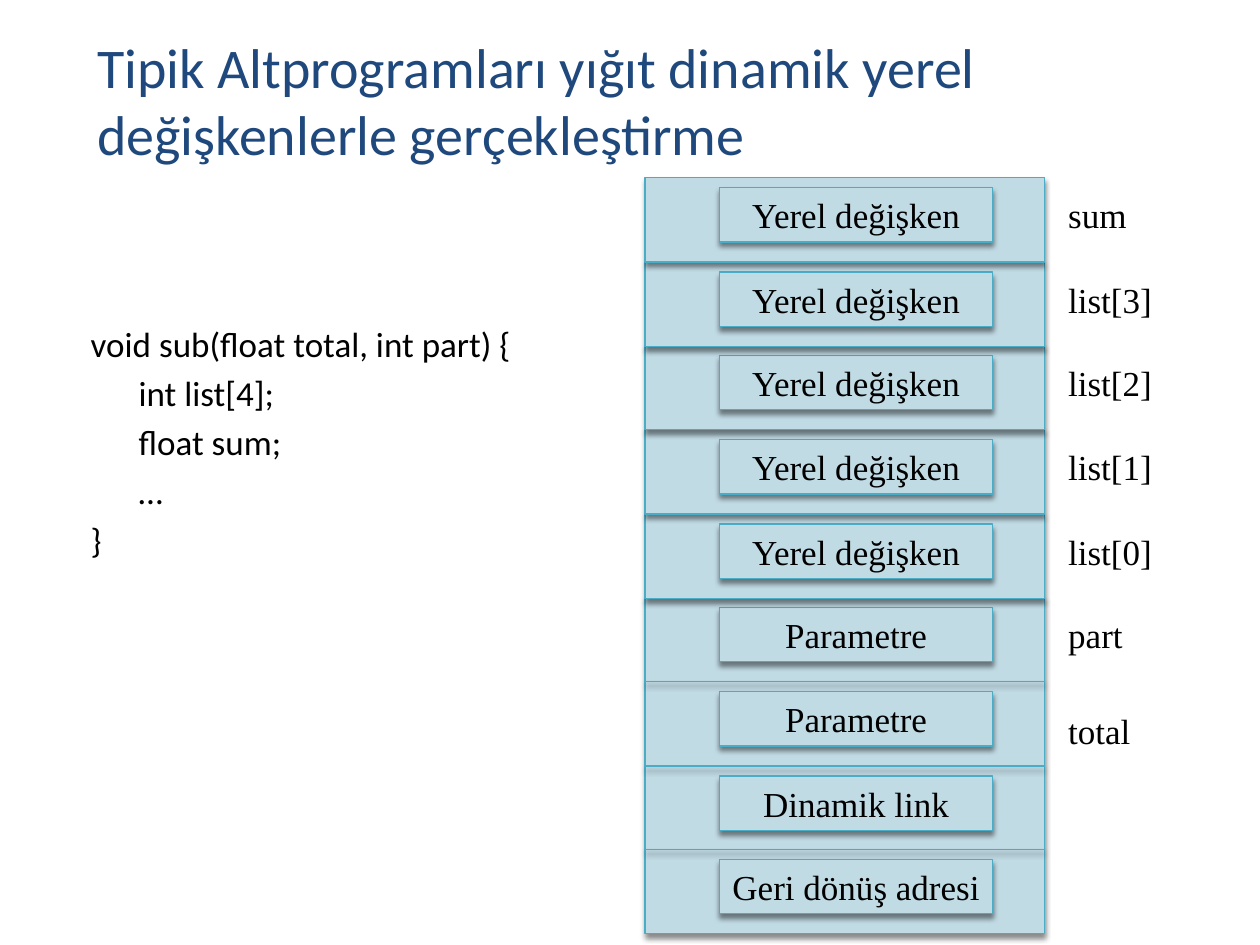
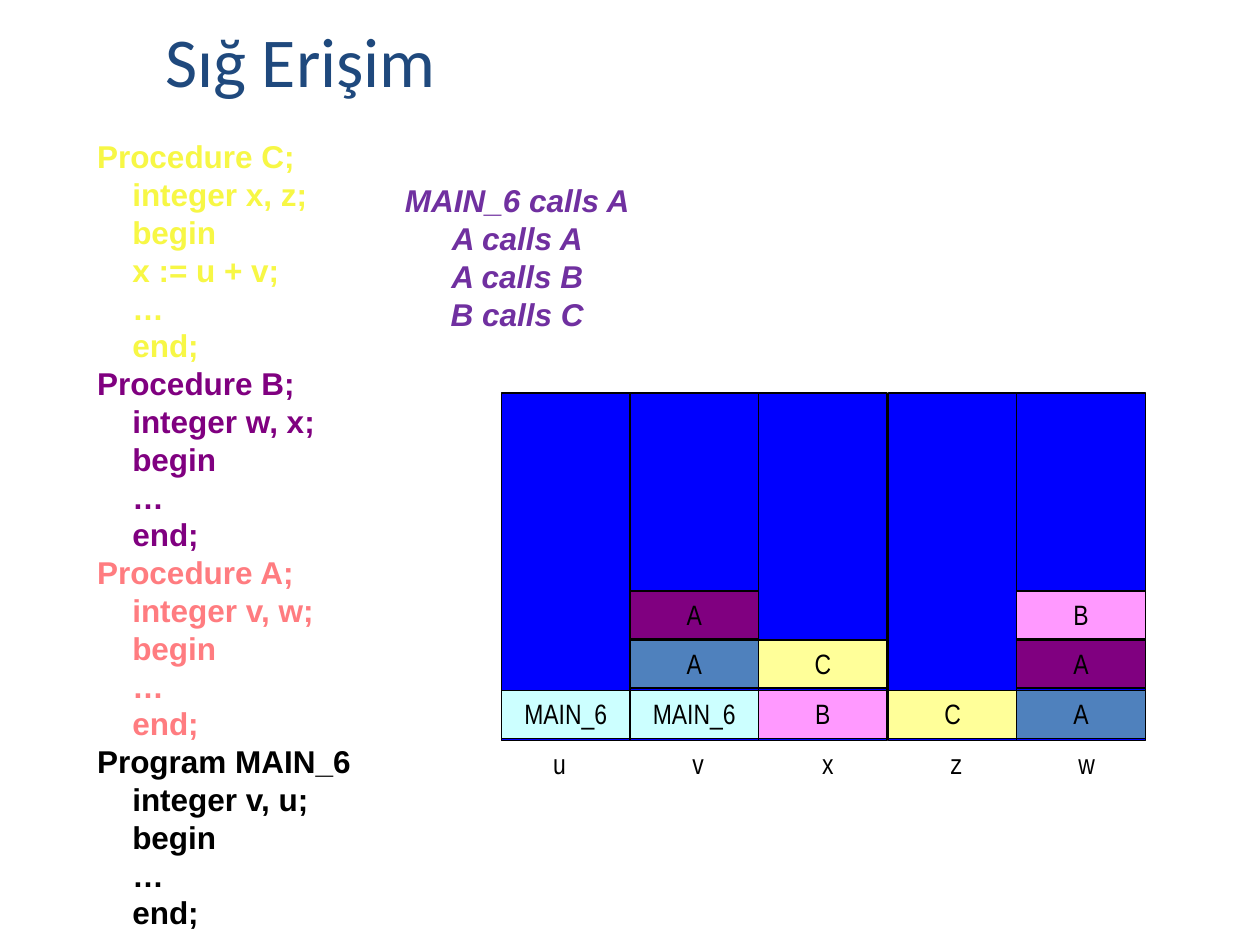
from lxml import etree
from pptx import Presentation
from pptx.dml.color import RGBColor
from pptx.enum import shapes, text
from pptx.oxml import ns
from pptx.util import Emu, Pt

EMU_PER_PX = 9144
BLACK = "000000"
TITLE_BLUE = "1F497D"
STACK_FILL, STACK_LINE = "C1DBE5", "4BACC6"
COLUMN_BLUE = "0000FF"
CYAN, STEEL, PURPLE, PINK, YELLOW = "CCFFFF", "4F81BD", "800080", "FF99FF", "FFFF99"
STACK_X, STACK_Y, STACK_W, ROW_H = 512, 141, 317, 200 / 3
FRAME_ROW = 5
COLUMN_X, COLUMN_W, CELL_STEP = 398, 102.25, 39.5

STACK_ROWS = [
    ("Yerel değişken", "sum", 0),
    ("Yerel değişken", "list[3]", 0),
    ("Yerel değişken", "list[2]", 0),
    ("Yerel değişken", "list[1]", 0),
    ("Yerel değişken", "list[0]", 0),
    ("Parametre", "part", 0),
    ("Parametre", "total", 9),
    ("Dinamik link", None, 0),
    ("Geri dönüş adresi", None, 0),
]
SUB_CODE = [
    ("void sub(float total, int part) {", 0),
    ("int list[4];", 38),
    ("float sum;", 38),
    ("…", 38),
    ("}", 0),
]
PROCEDURES = [
    ("F7F745", "Procedure C;", ["integer x, z;", "begin", "x := u + v;", "…", "end;"]),
    ("800080", "Procedure B;", ["integer w, x;", "begin", "…", "end;"]),
    ("FF7C80", "Procedure A;", ["integer v, w;", "begin", "…", "end;"]),
    (BLACK, "Program MAIN_6", ["integer v, u;", "begin", "…", "end;"]),
]
CALLS = ["MAIN_6 calls A", "A calls A", "A calls B", "B calls C"]
VARIABLES = [
    ("u", 31, [("MAIN_6", CYAN)]),
    ("v", 39, [("MAIN_6", CYAN), ("A", STEEL), ("A", PURPLE)]),
    ("x", 39, [("B", PINK), ("C", YELLOW)]),
    ("z", 39, [("C", YELLOW)]),
    ("w", 39, [("A", STEEL), ("A", PURPLE), ("B", PINK)]),
]


def px(n):
    return Emu(round(n) * EMU_PER_PX)


def rgb(value):
    return RGBColor.from_string(value)


def place(sp, x, y, w, h):
    sp.left, sp.top, sp.width, sp.height = px(x), px(y), px(w), px(h)


def write(tf, content, new=False, font="Calibri", size=20, color=BLACK, bold=False,
          italic=False, align="LEFT", indent=None, before=0, pitch=None):
    p = tf.add_paragraph() if new else tf.paragraphs[0]
    if indent is not None:
        pPr = p._p.get_or_add_pPr()
        pPr.set("marL", str(px(indent)))
        pPr.set("indent", "0")
        etree.SubElement(pPr, ns.qn("a:buNone"))
    p.alignment = getattr(text.PP_ALIGN, align)
    p.space_before = Pt(before if new else 0)
    if pitch:
        p.line_spacing = Pt(pitch)
    r = p.add_run()
    r.text = content
    f = r.font
    f.name, f.size, f.bold, f.italic = font, Pt(size), bold, italic
    f.color.rgb = rgb(color)


def add_title(s, content, x, y, w, h, size):
    sp = s.shapes.title
    place(sp, x, y, w, h)
    tf = sp.text_frame
    tf.auto_size = text.MSO_AUTO_SIZE.NONE
    tf.vertical_anchor = text.MSO_ANCHOR.MIDDLE
    write(tf, content, size=size, color=TITLE_BLUE)


def add_code(s, lines, x, y, w, h, **fmt):
    sp = s.placeholders[1]
    place(sp, x, y, w, h)
    tf = sp.text_frame
    tf.auto_size = text.MSO_AUTO_SIZE.NONE
    for i, (content, indent, color) in enumerate(lines):
        write(tf, content, new=i > 0, indent=indent, color=color, **fmt)


def add_label(s, lines, x, y, w, h, wrap=True, **fmt):
    tf = s.shapes.add_textbox(px(x), px(y), px(w), px(h)).text_frame
    tf.word_wrap = wrap
    for i, content in enumerate(lines):
        write(tf, content, new=i > 0, **fmt)


def add_box(s, x, y, w, h, fill, line=BLACK, width=0.75, label=None, **fmt):
    sp = s.shapes.add_shape(shapes.MSO_SHAPE.RECTANGLE, px(x), px(y), px(w), px(h))
    sp.shadow.inherit = False
    sp.fill.solid()
    sp.fill.fore_color.rgb = rgb(fill)
    sp.line.color.rgb = rgb(line)
    sp.line.width = Pt(width)
    if label:
        sp.text_frame.vertical_anchor = text.MSO_ANCHOR.TOP
        write(sp.text_frame, label, align="CENTER", **fmt)
    return sp


def add_shadow(sp):
    spPr = sp._element.spPr
    effects = spPr.find(ns.qn("a:effectLst"))
    if effects is None:
        effects = etree.SubElement(spPr, ns.qn("a:effectLst"))
    outer = etree.SubElement(effects, ns.qn("a:outerShdw"), blurRad="38100",
                             dist="30000", dir="5400000", rotWithShape="0")
    clr = etree.SubElement(outer, ns.qn("a:srgbClr"), val=BLACK)
    etree.SubElement(clr, ns.qn("a:alpha"), val="45000")


def add_stack_box(s, x, y, w, h, label=None):
    add_shadow(add_box(s, x, y, w, h, STACK_FILL, STACK_LINE, 0.79, label,
                       font="Times New Roman"))


def add_divider(s, y):
    cx = s.shapes.add_connector(shapes.MSO_CONNECTOR.STRAIGHT, px(STACK_X), px(y),
                                px(STACK_X + STACK_W), px(y))
    cx.line.color.rgb = rgb(STACK_LINE)
    cx.line.width = Pt(0.79)
    add_shadow(cx)


def build_stack(s):
    tops = [STACK_Y + i * ROW_H for i in range(len(STACK_ROWS))]
    framed = range(FRAME_ROW, len(STACK_ROWS))
    add_stack_box(s, STACK_X, tops[FRAME_ROW], STACK_W, len(framed) * ROW_H)
    for i in framed[1:]:
        add_divider(s, tops[i])
    for i in [*framed, *reversed(range(FRAME_ROW))]:
        kind, name, drop = STACK_ROWS[i]
        if i < FRAME_ROW:
            add_stack_box(s, STACK_X, tops[i], STACK_W, ROW_H)
        add_stack_box(s, 571, tops[i] + 8, 217, 43, kind)
        if name:
            add_label(s, [name], 838, tops[i] + 8 + drop, 100, 43,
                      font="Times New Roman")


def build_columns(s):
    for i, (name, shift, cells) in enumerate(VARIABLES):
        x = COLUMN_X + i * COLUMN_W
        add_box(s, x, 312, COLUMN_W, 276, COLUMN_BLUE)
        add_label(s, [name], x + shift, 588, 30, 37, wrap=False,
                  font="Arial Narrow", size=16, align="CENTER")
        for level, (owner, fill) in enumerate(cells):
            add_box(s, x, 548 - level * CELL_STEP, COLUMN_W, 38, fill,
                    label=owner, font="Arial Narrow", size=16)


def main():
    prs = Presentation()
    prs.slide_width, prs.slide_height = px(1000), px(750)
    layout = prs.slide_layouts[1]

    s = prs.slides.add_slide(layout)
    add_title(s, "Tipik Altprogramları yığıt dinamik yerel değişkenlerle gerçekleştirme",
              67, 25, 892, 108, 32)
    add_code(s, [(line, indent, BLACK) for line, indent in SUB_CODE],
             62, 251, 375, 449, before=4)
    build_stack(s)

    s = prs.slides.add_slide(layout)
    add_title(s, "Sığ Erişim", 121, 5, 513, 85, 40)
    lines = []
    for color, head, body in PROCEDURES:
        lines.append((head, 0, color))
        lines += [(line, 28, color) for line in body]
    add_code(s, lines, 67, 104, 240, 646, font="Arial", size=18, bold=True, pitch=21.6)
    add_label(s, CALLS, 311, 139, 199, 130, wrap=False, font="Arial", size=18,
              color="7030A0", bold=True, italic=True, align="CENTER", pitch=21.6)
    build_columns(s)

    prs.save("out.pptx")


if __name__ == "__main__":
    main()
